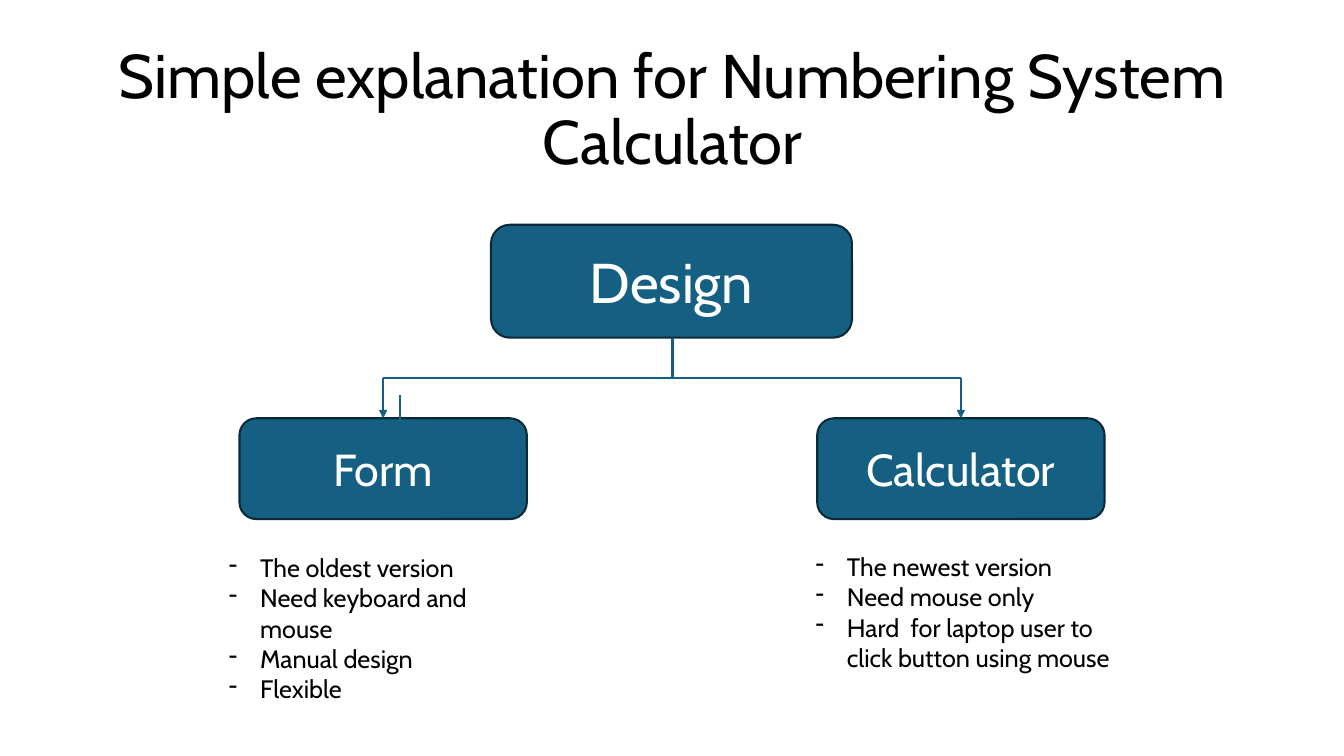
import lxml.etree
import pptx
import pptx.dml.color
import pptx.enum.shapes
import pptx.enum.text
import pptx.oxml.ns
import pptx.util

Inches = pptx.util.Inches
Pt = pptx.util.Pt
RGBColor = pptx.dml.color.RGBColor
Align = pptx.enum.text.PP_ALIGN
Anchor = pptx.enum.text.MSO_ANCHOR
AutoSize = pptx.enum.text.MSO_AUTO_SIZE

TEAL = RGBColor(0x15, 0x60, 0x82)
DARK_TEAL = RGBColor(0x09, 0x2A, 0x39)
BLACK = RGBColor(0, 0, 0)
WHITE = RGBColor(255, 255, 255)


def apply_format(target, values):
    for name, value in values.items():
        setattr(target, name, value)


def add_xml(parent, tag, **attributes):
    return lxml.etree.SubElement(parent, pptx.oxml.ns.qn(tag), attributes)


class DesignSlide:
    font_name = "Cabin"
    line_width = Pt(1.5)
    list_indent = Inches(0.31)

    def __init__(self, deck):
        self.page = deck.slides.add_slide(deck.slide_layouts.get_by_name("Two Content"))

    def place(self, shape, left, top, width, height):
        apply_format(shape, {"left": Inches(left), "top": Inches(top),
                             "width": Inches(width), "height": Inches(height)})

    def fill_para(self, para, text, size, color, **para_format):
        apply_format(para, para_format)
        span = para.add_run()
        span.text = text
        apply_format(span.font, {"name": self.font_name, "size": Pt(size)})
        span.font.color.rgb = color

    def title(self, text, *bounds):
        title = self.page.shapes.title
        self.place(title, *bounds)
        apply_format(title.text_frame, {"word_wrap": True, "auto_size": AutoSize.NONE,
                                        "vertical_anchor": Anchor.MIDDLE})
        self.fill_para(title.text_frame.paragraphs[0], text, 44, BLACK,
                       alignment=Align.CENTER, line_spacing=0.9)

    def box(self, text, size, *bounds):
        box = self.page.shapes.add_shape(
            pptx.enum.shapes.MSO_SHAPE.ROUNDED_RECTANGLE, *map(Inches, bounds))
        box.shadow.inherit = False
        box.fill.solid()
        box.fill.fore_color.rgb = TEAL
        box.line.color.rgb = DARK_TEAL
        box.line.width = self.line_width
        box.text_frame.vertical_anchor = Anchor.MIDDLE
        self.fill_para(box.text_frame.paragraphs[0], text, size, WHITE,
                       alignment=Align.CENTER)

    def line(self, start, end, arrow=False):
        line = self.page.shapes.add_connector(
            pptx.enum.shapes.MSO_CONNECTOR.STRAIGHT, *map(Inches, start + end))
        line.line.color.rgb = TEAL
        line.line.width = self.line_width
        properties = line._element.spPr
        if arrow:
            add_xml(properties.get_or_add_ln(), "a:tailEnd", type="triangle")
        add_xml(properties, "a:effectLst")

    def dash_list(self, index, items, *bounds):
        body = self.page.placeholders[index]
        self.place(body, *bounds)
        frame = body.text_frame
        apply_format(frame, {"word_wrap": True, "auto_size": AutoSize.NONE,
                             "vertical_anchor": Anchor.TOP})
        for number, item in enumerate(items):
            para = frame.add_paragraph() if number else frame.paragraphs[0]
            self.fill_para(para, item, 18, BLACK, alignment=Align.LEFT,
                           line_spacing=1.0, space_before=Pt(0))
            properties = para._p.get_or_add_pPr()
            properties.set("marL", str(self.list_indent))
            properties.set("indent", str(-self.list_indent))
            add_xml(properties, "a:buFontTx")
            add_xml(properties, "a:buChar", char="-")


def main():
    deck = pptx.Presentation()
    apply_format(deck, {"slide_width": Inches(13.33), "slide_height": Inches(7.5)})
    slide = DesignSlide(deck)
    slide.title("Simple explanation for Numbering System Calculator", 0.92, 0.38, 11.5, 1.45)

    # Root box and its trunk
    center, trunk_top, bar_y, branch_top = 6.67, 3.35, 3.75, 4.15
    slide.box("Design", 40, 4.87, 2.23, 3.58, 1.12)
    slide.line((center, trunk_top), (center, bar_y))

    # Branches with their boxes and lists
    branches = [
        ("Form", 3.8, (2.17, 5.43),
         ["The oldest version", "Need keyboard and mouse", "Manual design", "Flexible"]),
        ("Calculator", 9.53, (7.99, 5.42),
         ["The newest version", "Need mouse only",
          "Hard  for laptop user to click button using mouse"]),
    ]
    box_width = 2.85
    for index, (name, middle, list_corner, items) in enumerate(branches, start=1):
        slide.box(name, 32, middle - box_width / 2, branch_top, box_width, 1)
        slide.line((center, bar_y), (middle, bar_y))
        slide.line((middle, bar_y), (middle, branch_top), arrow=True)
        slide.dash_list(index, items, *list_corner, 3.18, 1.62)

    # Extra arrow reaching into the Form box
    slide.line((3.97, 3.92), (3.97, 4.32), arrow=True)

    deck.save("out.pptx")


if __name__ == "__main__":
    main()
